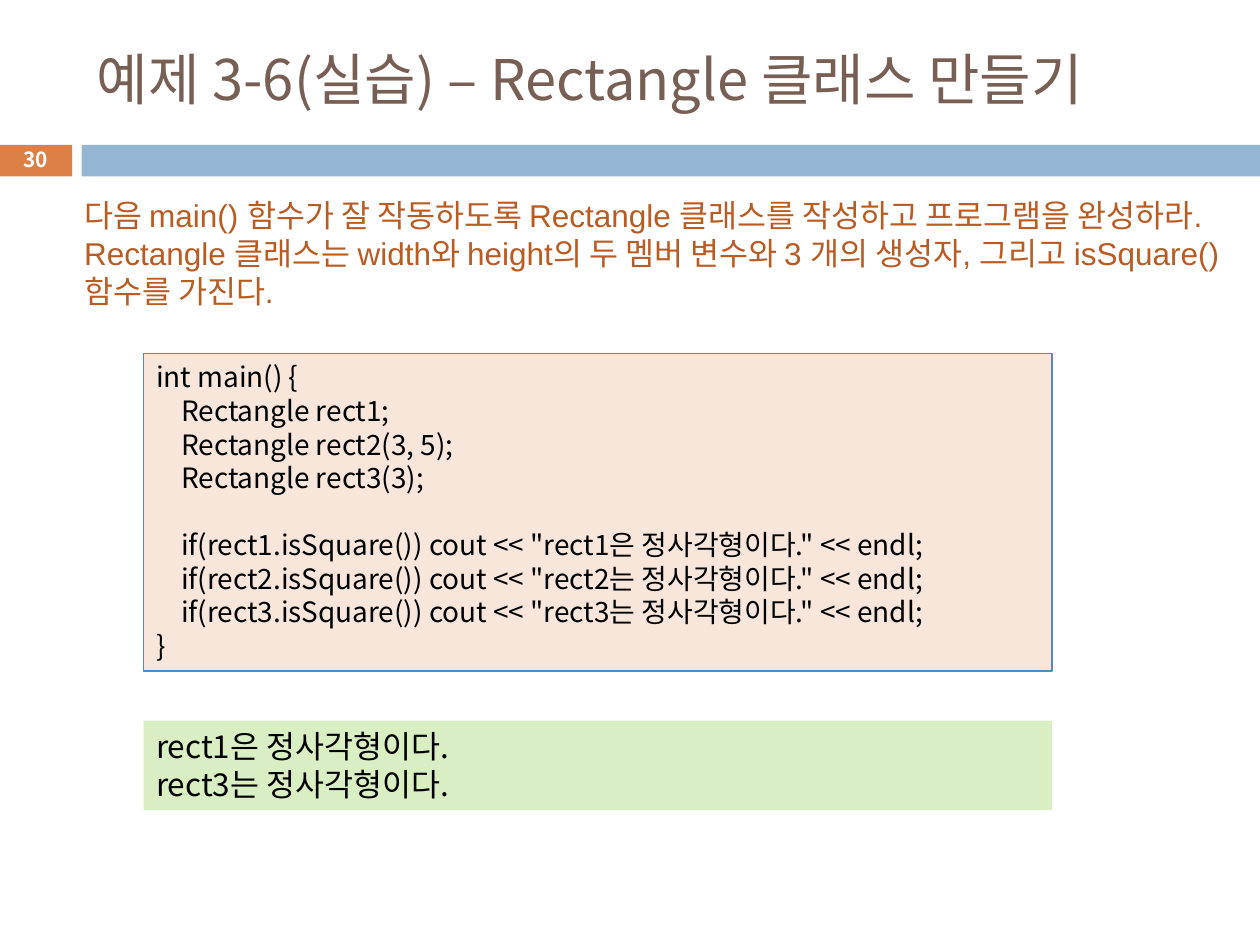
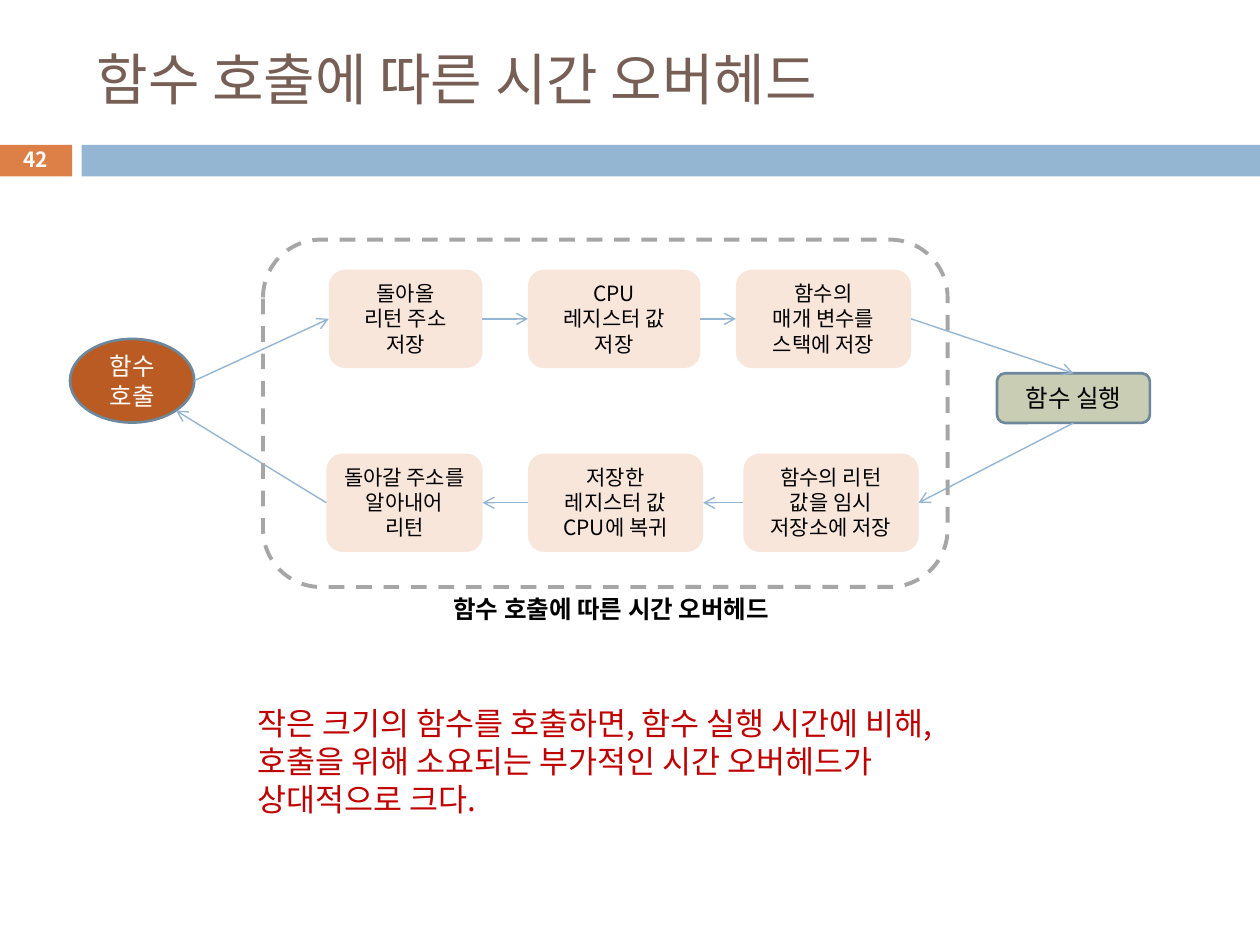
from dataclasses import dataclass

from lxml import etree
from pptx import Presentation
from pptx.dml.color import RGBColor
from pptx.enum.dml import MSO_LINE
from pptx.enum.shapes import MSO_CONNECTOR, MSO_SHAPE
from pptx.enum.text import MSO_ANCHOR, PP_ALIGN
from pptx.oxml.ns import qn
from pptx.util import Pt

RECT, ROUND, OVAL = MSO_SHAPE.RECTANGLE, MSO_SHAPE.ROUNDED_RECTANGLE, MSO_SHAPE.OVAL
TOP, MIDDLE = MSO_ANCHOR.TOP, MSO_ANCHOR.MIDDLE
LEFT, CENTER = PP_ALIGN.LEFT, PP_ALIGN.CENTER
SIDE_TOP, SIDE_LEFT, SIDE_BOTTOM, SIDE_RIGHT = range(4)


@dataclass(frozen=True)
class Theme:
    font: str = "Noto Sans CJK KR"
    task_font: str = "Arial"
    title: str = "775F55"
    orange: str = "DD8047"
    blue: str = "94B6D2"
    rust: str = "B95B22"
    peach: str = "F8E6DA"
    code_edge: str = "558BB8"
    output: str = "DAEEC4"
    sage: str = "C9CDB3"
    end_edge: str = "6D879B"
    dash: str = "A6A6A6"
    red: str = "C00000"
    black: str = "000000"
    white: str = "FFFFFF"
    title_size: float = 32
    body_size: float = 18
    code_size: float = 16
    label_size: float = 14
    step_size: float = 12
    number_size: float = 11.9


THEME = Theme()

# Content
EXERCISE = {
    "number": "30",
    "title": "예제 3-6(실습) – Rectangle 클래스 만들기",
    "task": "다음 main() 함수가 잘 작동하도록 Rectangle 클래스를 작성하고 프로그램을 완성하라. "
            "Rectangle 클래스는 width와 height의 두 멤버 변수와 3 개의 생성자, "
            "그리고 isSquare() 함수를 가진다.",
    "code": [
        "int main() {",
        "\tRectangle rect1;",
        "\tRectangle rect2(3, 5);",
        "\tRectangle rect3(3);",
        "",
        '\tif(rect1.isSquare()) cout << "rect1은 정사각형이다." << endl;',
        '\tif(rect2.isSquare()) cout << "rect2는 정사각형이다." << endl;',
        '\tif(rect3.isSquare()) cout << "rect3는 정사각형이다." << endl;',
        "}",
    ],
    "output": ["rect1은 정사각형이다.", "rect3는 정사각형이다."],
}
OVERHEAD = {
    "number": "42",
    "title": "함수 호출에 따른 시간 오버헤드",
    "call": "함수 호출",
    "run": "함수 실행",
    # Each step: left, width, paragraphs; listed from left to right
    "before": [
        (187.9, 87.8, ["돌아올", "리턴 주소 저장"]),
        (301.7, 98.6, ["CPU", "레지스터 값", "저장"]),
        (420.5, 100.1, ["함수의", "매개 변수를", "스택에 저장"]),
    ],
    "after": [
        (186.5, 89.3, ["돌아갈 주소를 알아내어", "리턴"]),
        (301.7, 100.1, ["저장한", "레지스터 값", "CPU에 복귀"]),
        (424.8, 100.1, ["함수의 리턴 값을 임시 저장소에 저장"]),
    ],
    "caption": "함수 호출에 따른 시간 오버헤드",
    "conclusion": "작은 크기의 함수를 호출하면, 함수 실행 시간에 비해, "
                  "호출을 위해 소요되는 부가적인 시간 오버헤드가 상대적으로 크다.",
}

# Places in points
SLIDE = (720, 540)
BAND_TOP, BAND_HEIGHT = 82.8, 18
BEFORE_TOP, AFTER_TOP, STEP_HEIGHT = 154.1, 259.2, 56.2
CODE_TAB = 14.4


def rgb(value):
    return RGBColor.from_string(value)


def put_text(target, text, *, size, color, font=THEME.font, bold=False,
             align=LEFT, anchor=TOP, wrap=True, tab=None):
    """Write one paragraph per list item into a shape."""
    frame = target.text_frame
    frame.word_wrap = wrap
    frame.vertical_anchor = anchor
    for index, line in enumerate([text] if isinstance(text, str) else text):
        paragraph = frame.paragraphs[0] if index == 0 else frame.add_paragraph()
        paragraph.alignment = align
        if tab:
            stops = etree.SubElement(paragraph._p.get_or_add_pPr(), qn("a:tabLst"))
            etree.SubElement(stops, qn("a:tab"), pos=str(Pt(tab)), algn="l")
        paragraph.font.size = Pt(size)
        if line:
            run = paragraph.add_run()
            run.text = line
            run.font.size, run.font.bold, run.font.name = Pt(size), bold, font
            run.font.color.rgb = rgb(color)
            etree.SubElement(run._r.get_or_add_rPr(), qn("a:ea"), typeface=THEME.font)
    return target


def add_label(slide, place, text, **style):
    return put_text(slide.shapes.add_textbox(*map(Pt, place)), text, **style)


def add_block(slide, kind, place, fill=None, edge=None, weight=1.5):
    block = slide.shapes.add_shape(kind, *map(Pt, place))
    block.shadow.inherit = False
    if fill:
        block.fill.solid()
        block.fill.fore_color.rgb = rgb(fill)
    else:
        block.fill.background()
    if edge:
        block.line.color.rgb = rgb(edge)
        block.line.width = Pt(weight)
    else:
        block.line.fill.background()
    return block


def add_arrow(slide, start, end):
    """Each end is a (block, side) pair or an (x, y) point in points."""
    arrow = slide.shapes.add_connector(MSO_CONNECTOR.STRAIGHT, 0, 0, 0, 0)
    if isinstance(start[0], (int, float)):
        arrow.begin_x, arrow.begin_y = map(Pt, start)
    else:
        arrow.begin_connect(*start)
    if isinstance(end[0], (int, float)):
        arrow.end_x, arrow.end_y = map(Pt, end)
    else:
        arrow.end_connect(*end)
    arrow.line.color.rgb = rgb(THEME.blue)
    arrow.line.width = Pt(0.79)
    etree.SubElement(arrow.line._get_or_add_ln(), qn("a:tailEnd"), type="arrow")
    etree.SubElement(arrow._element.spPr, qn("a:effectLst"))


def start_slide(deck, content):
    """Add a slide with the bands, title and page number."""
    slide = deck.slides.add_slide(deck.slide_layouts[6])
    add_block(slide, RECT, (0, BAND_TOP, 41.2, BAND_HEIGHT), THEME.orange)
    add_block(slide, RECT, (46.6, BAND_TOP, 673.4, BAND_HEIGHT), THEME.blue)
    add_label(slide, (48.2, 18, 642.2, 53.3), content["title"],
              size=THEME.title_size, color=THEME.title, anchor=MIDDLE)
    add_label(slide, (-0.7, 81.4, 41.8, 19.4), content["number"], bold=True,
              size=THEME.number_size, color=THEME.white, align=CENTER, anchor=MIDDLE)
    return slide


def build_exercise(deck):
    slide = start_slide(deck, EXERCISE)
    add_label(slide, (41, 108.7, 664.6, 72.7), EXERCISE["task"],
              size=THEME.body_size, color=THEME.rust, font=THEME.task_font)
    # Program and its output
    code = add_block(slide, RECT, (82.1, 202.1, 519.1, 181.4),
                     THEME.peach, THEME.code_edge, 0.75)
    put_text(code, EXERCISE["code"], size=THEME.code_size, color=THEME.black, tab=CODE_TAB)
    output = add_block(slide, RECT, (82.1, 411.8, 519.1, 51.1), THEME.output)
    put_text(output, EXERCISE["output"], size=THEME.body_size, color=THEME.black)


def add_steps(slide, steps, top):
    return [put_text(add_block(slide, ROUND, (left, top, width, STEP_HEIGHT), THEME.peach),
                     text, size=THEME.step_size, color=THEME.black, align=CENTER)
            for left, width, text in steps]


def build_overhead(deck):
    slide = start_slide(deck, OVERHEAD)
    # Steps around the call
    before = add_steps(slide, OVERHEAD["before"], BEFORE_TOP)
    after = add_steps(slide, OVERHEAD["after"], AFTER_TOP)
    call = add_block(slide, OVAL, (40, 193.7, 71, 47.8), THEME.rust, THEME.end_edge)
    run = add_block(slide, ROUND, (569.7, 213.3, 87.4, 28.4), THEME.sage, THEME.end_edge)
    for block, key, color in ((call, "call", THEME.white), (run, "run", THEME.black)):
        put_text(block, OVERHEAD[key], size=THEME.label_size, color=color,
                 align=CENTER, anchor=MIDDLE)

    # Flow from the call to the function and back
    add_arrow(slide, (111, 217.6), (before[0], SIDE_LEFT))
    for source, target in zip(before, before[1:]):
        add_arrow(slide, (source, SIDE_RIGHT), (target, SIDE_LEFT))
    add_arrow(slide, (before[-1], SIDE_RIGHT), (run, SIDE_TOP))
    add_arrow(slide, (run, SIDE_BOTTOM), (after[-1], SIDE_RIGHT))
    for target, source in zip(after, after[1:]):
        add_arrow(slide, (source, SIDE_LEFT), (target, SIDE_RIGHT))
    add_arrow(slide, (after[0], SIDE_LEFT), (100.6, 234.6))

    # Overhead frame and its texts
    frame = add_block(slide, ROUND, (150.3, 136.9, 391.2, 198.5), edge=THEME.dash, weight=2.25)
    frame.line.dash_style = MSO_LINE.DASH
    add_label(slide, (252, 336.2, 218.2, 24.5), OVERHEAD["caption"], bold=True,
              size=THEME.label_size, color=THEME.black, wrap=False)
    add_label(slide, (139.9, 398.9, 447.8, 72.7), OVERHEAD["conclusion"],
              size=THEME.body_size, color=THEME.red)


def main():
    deck = Presentation()
    deck.slide_width, deck.slide_height = map(Pt, SLIDE)
    build_exercise(deck)
    build_overhead(deck)
    deck.save("out.pptx")


if __name__ == "__main__":
    main()
